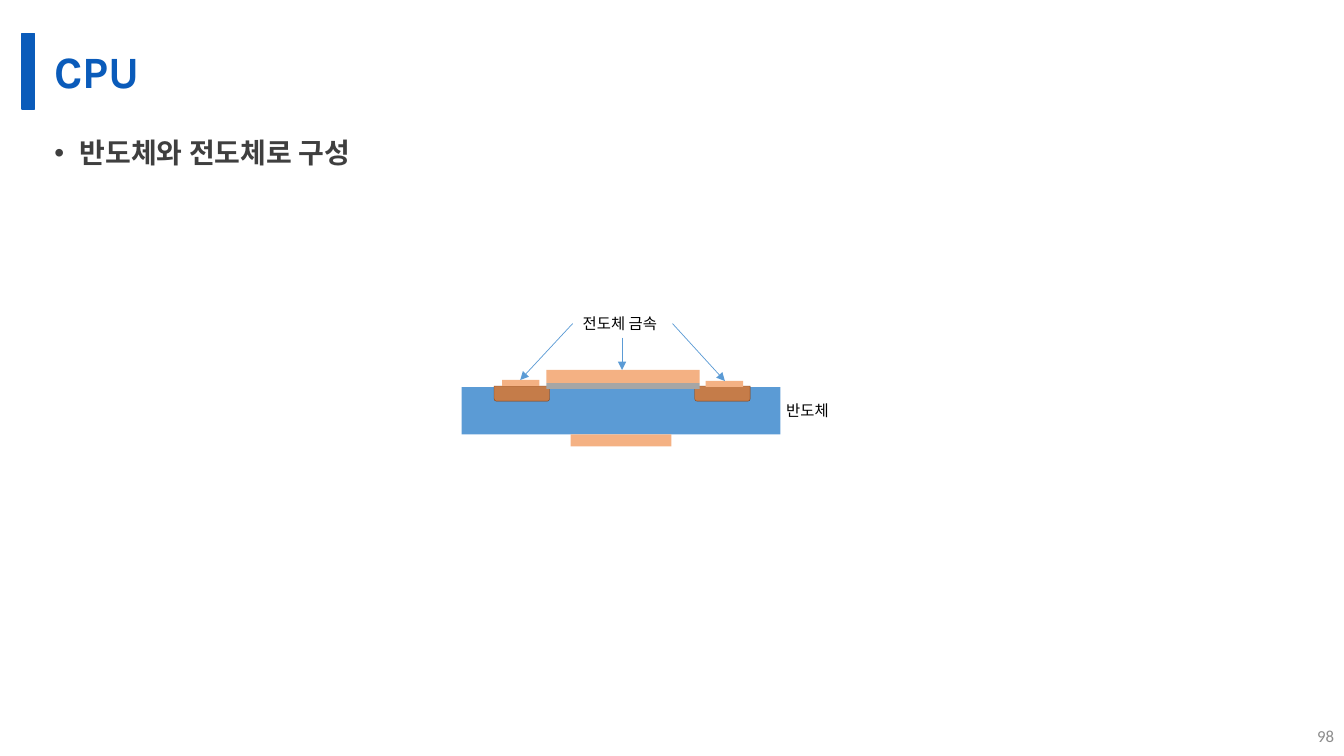
"""Build the CPU slide with a cross-section of a semiconductor."""
from lxml import etree
from pptx import Presentation
from pptx.dml.color import RGBColor
from pptx.enum.shapes import MSO_CONNECTOR, MSO_SHAPE
from pptx.enum.text import MSO_ANCHOR, PP_ALIGN
from pptx.oxml.ns import qn
from pptx.util import Inches, Pt

RECT, WELL = MSO_SHAPE.RECTANGLE, MSO_SHAPE.ROUND_2_SAME_RECTANGLE
LINE = MSO_CONNECTOR.STRAIGHT
TOP, MIDDLE = MSO_ANCHOR.TOP, MSO_ANCHOR.MIDDLE
LEFT, RIGHT = PP_ALIGN.LEFT, PP_ALIGN.RIGHT
NAVY = RGBColor(0x0A, 0x5B, 0xBA)
BLUE = RGBColor(0x5B, 0x9B, 0xD5)
PEACH = RGBColor(0xF4, 0xB1, 0x83)
COPPER = RGBColor(0xC5, 0x7C, 0x49)
BROWN = RGBColor(0x84, 0x3C, 0x0B)
SILVER = RGBColor(0xA6, 0xA6, 0xA6)
DARK = RGBColor(0x3F, 0x3F, 0x3F)
GRAY = RGBColor(0x8C, 0x8C, 0x8C)
BLACK = RGBColor(0, 0, 0)
HANGUL = "Noto Sans CJK KR"


def add_block(kind, box, fill, edge=None):
    block = slide.shapes.add_shape(kind, *map(Inches, box))
    block.shadow.inherit = False
    block.fill.solid()
    block.fill.fore_color.rgb = fill
    if edge:
        block.line.color.rgb, block.line.width = edge
    else:
        block.line.fill.background()
    return block


def set_text(shape, box, text, style, wrap=True, anchor=TOP, align=LEFT):
    shape.left, shape.top, shape.width, shape.height = map(Inches, box)
    frame = shape.text_frame
    frame.word_wrap = wrap
    frame.vertical_anchor = anchor
    para = frame.paragraphs[0]
    para.alignment = align
    run = para.add_run()
    run.text = text
    for key, value in style.items():
        if key == "color":
            run.font.color.rgb = value
        else:
            setattr(run.font, key, value)
    etree.SubElement(run.font._element, qn("a:ea"), typeface=HANGUL)
    return para


deck = Presentation()
deck.slide_width, deck.slide_height = Inches(13.33), Inches(7.5)
slide = deck.slides.add_slide(deck.slide_layouts[5])

add_block(RECT, (0.22, 0.33, 0.12, 0.75), NAVY, (NAVY, Pt(1)))
title = slide.shapes.title
para = set_text(title, (0.44, 0.33, 12.45, 0.75), "CPU",
                {"name": "Karla", "size": Pt(32), "bold": True, "color": NAVY},
                anchor=MIDDLE)
para.line_spacing = 0.9
title.text_frame.margin_bottom = 0

body = slide.shapes.add_textbox(0, 0, 0, 0)
para = set_text(body, (0.44, 1.25, 12.45, 5.92), "반도체와 전도체로 구성",
                {"name": "Lato", "size": Pt(20), "bold": True, "color": DARK})
para.line_spacing = 1.14
para.space_after = Pt(3)
props = para._p.get_or_add_pPr()
props.set("marL", str(Inches(0.25)))
props.set("indent", str(-Inches(0.25)))
etree.SubElement(props, qn("a:buFont"), typeface="Arial")
etree.SubElement(props, qn("a:buChar"), char="•")

page = slide.shapes.add_textbox(0, 0, 0, 0)
set_text(page, (12.89, 7.1, 0.44, 0.4), "98",
         {"name": "Calibri", "size": Pt(12), "color": GRAY},
         anchor=MIDDLE, align=RIGHT)

add_block(RECT, (4.58, 3.84, 3.16, 0.47), BLUE)
add_block(RECT, (5.66, 4.31, 1, 0.12), PEACH)
for left in (4.9, 6.89):
    well = add_block(WELL, (left, 3.83, 0.55, 0.15), COPPER, (BROWN, Pt(0.25)))
    well.rotation = 180
for box, fill in (
    ((5.42, 3.67, 1.52, 0.13), PEACH),
    ((5.42, 3.8, 1.52, 0.06), SILVER),
    ((4.98, 3.77, 0.37, 0.06), PEACH),
    ((7, 3.78, 0.37, 0.06), PEACH),
):
    add_block(RECT, box, fill)

label = {"name": HANGUL, "size": Pt(11), "color": BLACK}
for text, box in (("반도체", (7.7, 3.93, 0.64, 0.29)),
                  ("전도체 금속", (5.68, 3.07, 0.98, 0.29))):
    set_text(slide.shapes.add_textbox(0, 0, 0, 0), box, text, label, wrap=False)

for ends in ((5.68, 3.21, 5.16, 3.77),
             (6.67, 3.21, 7.19, 3.78),
             (6.17, 3.35, 6.17, 3.67)):
    arrow = slide.shapes.add_connector(LINE, *map(Inches, ends))
    arrow.line.color.rgb = BLUE
    arrow.line.width = Pt(0.5)
    etree.SubElement(arrow.line._get_or_add_ln(), qn("a:tailEnd"), type="triangle")
    etree.SubElement(arrow._element.spPr, qn("a:effectLst"))

deck.save("out.pptx")
